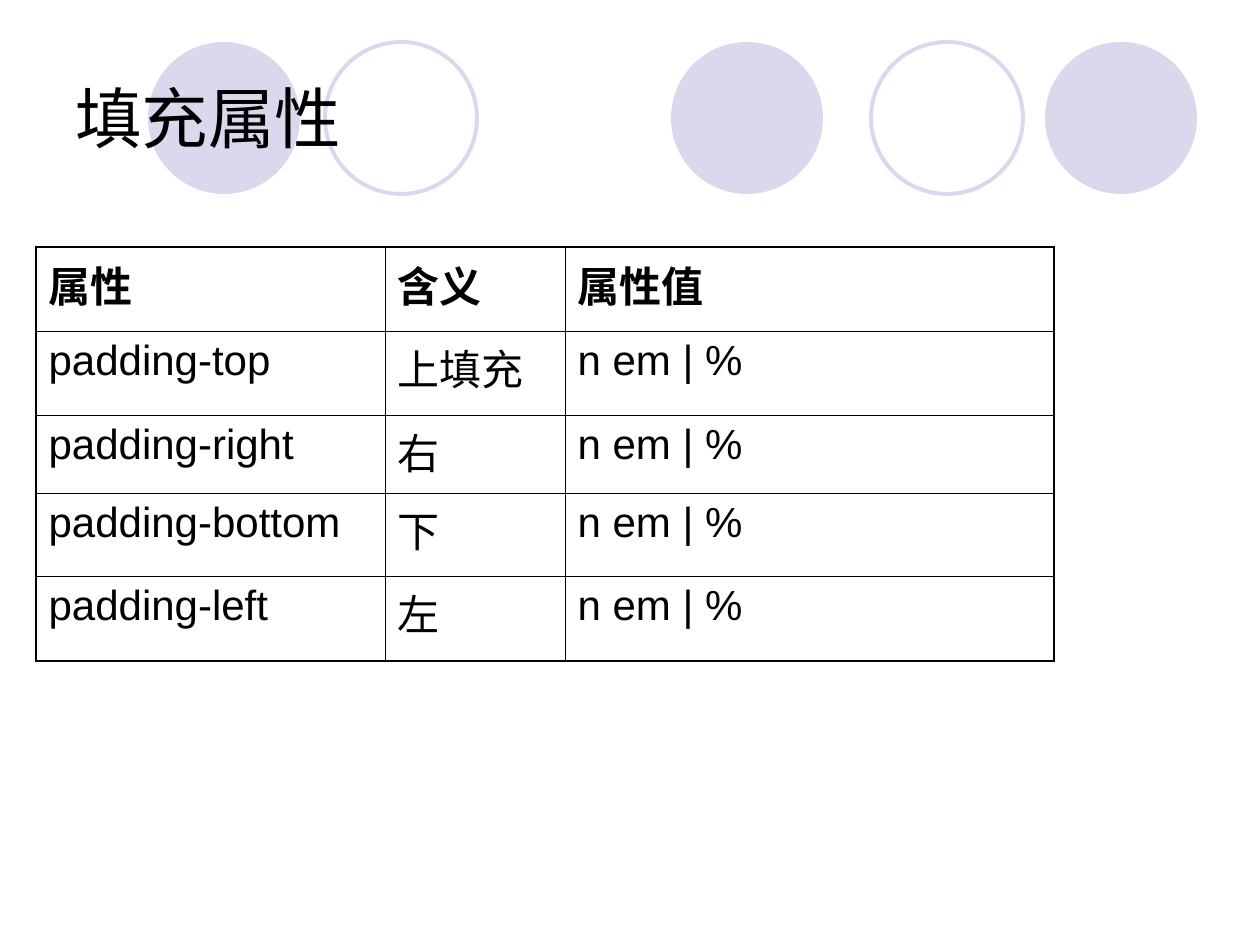
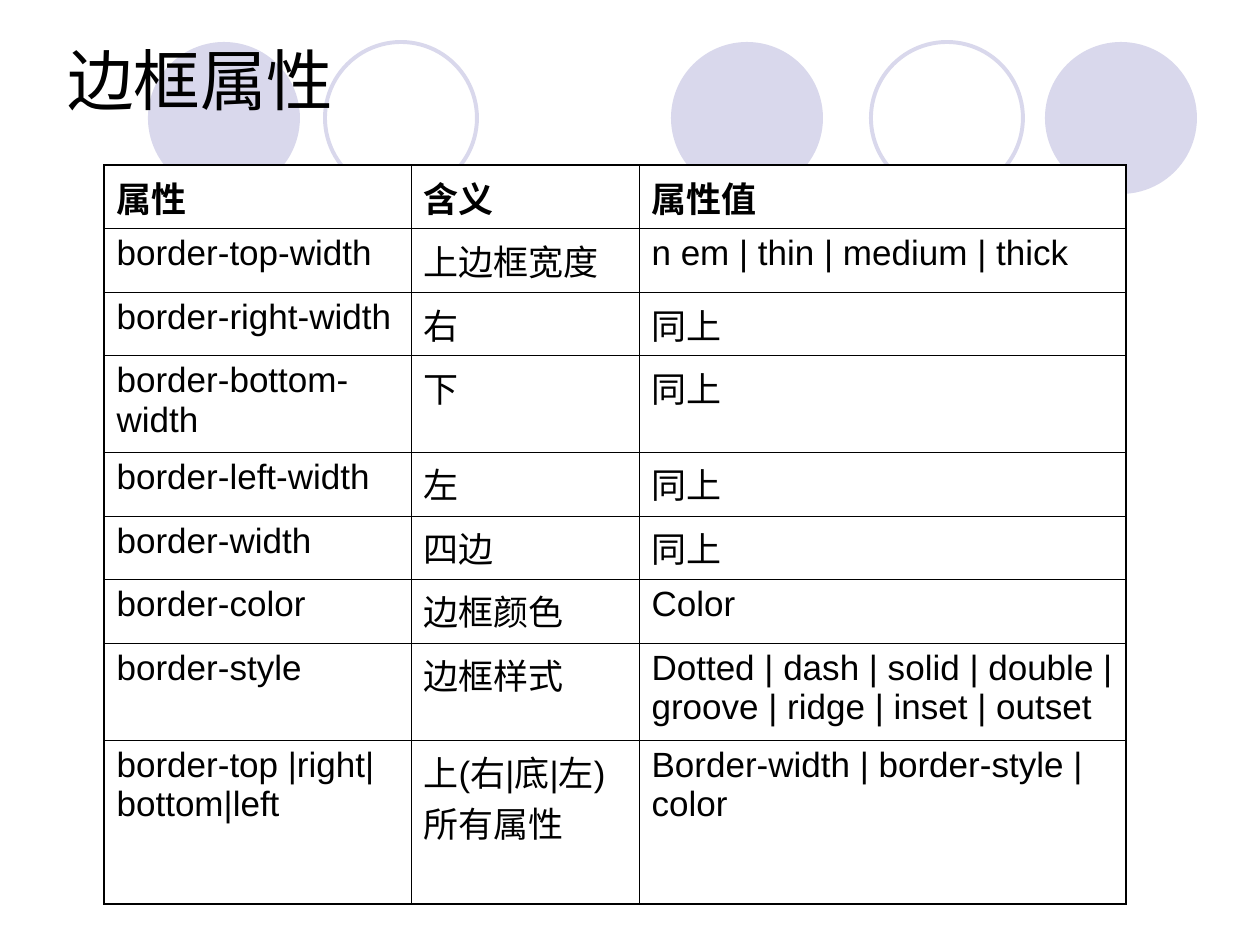
from lxml.etree import SubElement
from pptx import Presentation
from pptx.dml.color import RGBColor
from pptx.enum.lang import MSO_LANGUAGE_ID as Lang
from pptx.enum.shapes import MSO_SHAPE as Shape
from pptx.enum.text import MSO_ANCHOR as Anchor
from pptx.oxml import parse_xml
from pptx.oxml.ns import nsdecls, qn
from pptx.util import Emu, Pt

SCALE = 914400 / 126
BLACK = RGBColor(0x00, 0x00, 0x00)
WHITE = RGBColor(0xFF, 0xFF, 0xFF)
LILAC = RGBColor(0xD9, 0xD8, 0xEC)
FONT = "Arial"
THICK, THIN = Pt(1.08), Pt(0.45)

# Left edge of each circle, and whether it is filled
BAND = (0, 42, 1260, 152)
RINGS = [(671, True), (1045, True), (148, True), (871, False), (325, False)]

HEAD = ["属性", "含义", "属性值"]
PADS = [
    HEAD,
    ["padding-top", "上填充", "n em | %"],
    ["padding-right", "右", "n em | %"],
    ["padding-bottom", "下", "n em | %"],
    ["padding-left", "左", "n em | %"],
]
EDGES = [
    HEAD,
    ["border-top-width", "上边框宽度", "n em | thin | medium | thick"],
    ["border-right-width", "右", "同上"],
    ["border-bottom-width", "下", "同上"],
    ["border-left-width", "左", "同上"],
    ["border-width", "四边", "同上"],
    ["border-color", "边框颜色", "Color"],
    ["border-style", "边框样式",
     "Dotted | dash | solid | double | groove | ridge | inset | outset"],
    ["border-top |right|bottom|left", "上(右|底|左)所有属性",
     "Border-width | border-style | color"],
]


def px(num):
    return Emu(round(num * SCALE))


def write(frame, text, size, bold=False):
    run = frame.paragraphs[0].add_run()
    run.text = text
    font = run.font
    font.name, font.size, font.bold = FONT, Pt(size), bold
    font.color.rgb = BLACK
    font.language_id = Lang.SIMPLIFIED_CHINESE


def add_band(slide, box):
    """Row of circles behind the title."""
    left, top, _, size = box
    for x, full in RINGS:
        ring = slide.shapes.add_shape(
            Shape.OVAL, px(left + x), px(top), px(size), px(size))
        ring.shadow.inherit = False
        if full:
            ring.fill.solid()
            ring.fill.fore_color.rgb = LILAC
            ring.line.fill.background()
        else:
            ring.fill.background()
            ring.line.color.rgb = LILAC
            ring.line.width = Pt(2.25)


def add_title(slide, box, text):
    frame = slide.shapes.add_textbox(*map(px, box)).text_frame
    frame.word_wrap = True
    frame.vertical_anchor = Anchor.MIDDLE
    write(frame, text, 38)


def add_edges(cell, outer):
    """Cell borders, thick on the sides that lie on the table's rim."""
    props = cell._tc.get_or_add_tcPr()
    for i, (side, rim) in enumerate(zip("LRTB", outer)):
        width = THICK if rim else THIN
        line = parse_xml(f'<a:ln{side} {nsdecls("a")} w="{width}"/>')
        fill = SubElement(line, qn("a:solidFill"))
        SubElement(fill, qn("a:srgbClr"), val=str(BLACK))
        props.insert(i, line)


def add_grid(slide, spot, cols, rows, data, size):
    left, top = spot
    grid = slide.shapes.add_table(
        len(rows), len(cols), px(left), px(top),
        px(sum(cols)), px(sum(rows))).table
    grid.first_row = grid.horz_banding = False
    for col, width in zip(grid.columns, cols):
        col.width = px(width)
    for row, high in zip(grid.rows, rows):
        row.height = px(high)
    for r, line in enumerate(data):
        for c, text in enumerate(line):
            cell = grid.cell(r, c)
            cell.fill.solid()
            cell.fill.fore_color.rgb = WHITE
            add_edges(cell, (c == 0, c == len(cols) - 1,
                             r == 0, r == len(rows) - 1))
            write(cell.text_frame, text, size, bold=r == 0)


def add_page(deck, title, box, *grid):
    slide = deck.slides.add_slide(deck.slide_layouts[6])
    add_band(slide, BAND)
    add_title(slide, box, title)
    add_grid(slide, *grid)


def main():
    deck = Presentation()
    deck.slide_width, deck.slide_height = px(1260), px(945)
    # Padding
    add_page(deck, "填充属性", (63, 38, 1134, 158),
             (36, 247), [349, 180, 489], [84, 84, 78, 83, 85], PADS, 24)
    # Border
    add_page(deck, "边框属性", (55, 0, 1134, 158),
             (104, 165), [307, 228, 487],
             [63, 64, 63, 97, 64, 63, 64, 97, 164], EDGES, 20)
    deck.save("out.pptx")


if __name__ == "__main__":
    main()
